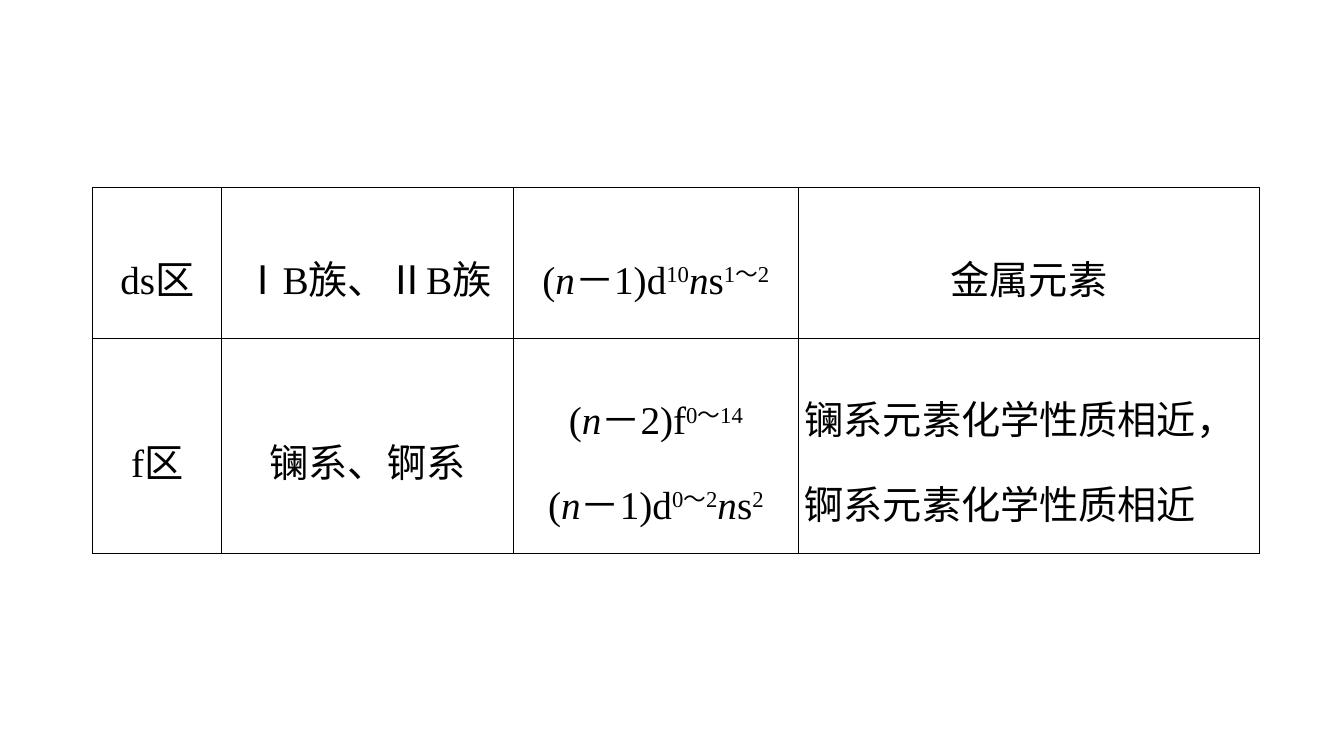
from dataclasses import dataclass

from lxml.etree import SubElement
from pptx import Presentation
from pptx.dml.color import RGBColor
from pptx.enum.text import MSO_ANCHOR as Anchor, PP_ALIGN as Align
from pptx.oxml.ns import qn
from pptx.table import _Cell as Cell
from pptx.util import Inches, Pt

COLORS = {"ink": "000000", "paper": "FFFFFF"}
TEXT_FONT, NUMERAL_FONT = "Times New Roman", "Noto Sans CJK SC"
COLUMN_WIDTHS = (1.28, 2.89, 2.83, 4.57)
ROW_HEIGHTS = (1.5, 2.13)


@dataclass(frozen=True)
class Span:
    text: str
    italic: bool = False
    superscript: bool = False
    font: str = TEXT_FONT


@dataclass(frozen=True)
class Entry:
    lines: tuple[tuple[Span, ...], ...]
    align: Align = Align.CENTER


def plain(text: str, align: Align = Align.CENTER) -> Entry:
    return Entry(((Span(text),),), align)


def sup(text: str) -> Span:
    return Span(text, superscript=True)


def numeral(text: str) -> Span:
    return Span(text, font=NUMERAL_FONT)


N = Span("n", italic=True)
OPEN = Span("(")

ROWS = (
    (
        plain("ds区"),
        Entry(((numeral("Ⅰ"), Span("B族、"), numeral("Ⅱ"), Span("B族")),)),
        Entry(((OPEN, N, Span("－1)d"), sup("10"), N, Span("s"), sup("1～2")),)),
        plain("金属元素"),
    ),
    (
        plain("f区"),
        plain("镧系、锕系"),
        Entry((
            (OPEN, N, Span("－2)f"), sup("0～14")),
            (OPEN, N, Span("－1)d"), sup("0～2"), N, Span("s"), sup("2")),
        )),
        plain("镧系元素化学性质相近，锕系元素化学性质相近", Align.LEFT),
    ),
)


def add_borders(cell: Cell) -> None:
    tcPr = cell._tc.get_or_add_tcPr()
    for i, side in enumerate(("lnL", "lnR", "lnT", "lnB")):
        ln = SubElement(tcPr, qn(f"a:{side}"), w=str(Pt(1)))
        fill = SubElement(ln, qn("a:solidFill"))
        SubElement(fill, qn("a:srgbClr"), val=COLORS["ink"])
        tcPr.insert(i, ln)  # borders come before the fill


def write_entry(cell: Cell, entry: Entry) -> None:
    cell.vertical_anchor = Anchor.MIDDLE
    cell.margin_left = cell.margin_right = Inches(0.06)
    cell.margin_top = cell.margin_bottom = 0
    tf = cell.text_frame
    for i, line in enumerate(entry.lines):
        p = tf.add_paragraph() if i else tf.paragraphs[0]
        p.alignment = entry.align
        p.line_spacing = 1.5
        p.font.size = Pt(28)
        p.font.name = TEXT_FONT
        p.font.color.rgb = RGBColor.from_string(COLORS["ink"])
        for span in line:
            r = p.add_run()
            r.text = span.text
            if span.italic:
                r.font.italic = True
            if span.font != TEXT_FONT:
                r.font.name = span.font
            if span.superscript:
                r._r.get_or_add_rPr().set("baseline", "30000")


def main() -> None:
    prs = Presentation()
    prs.slide_width, prs.slide_height = Inches(13.33), Inches(7.5)
    s = prs.slides.add_slide(prs.slide_layouts[6])
    table = s.shapes.add_table(
        len(ROWS), len(COLUMN_WIDTHS), Inches(0.92), Inches(1.86),
        Inches(sum(COLUMN_WIDTHS)), Inches(sum(ROW_HEIGHTS)),
    ).table
    table.first_row = table.horz_banding = False
    for column, width in zip(table.columns, COLUMN_WIDTHS):
        column.width = Inches(width)
    for row, height, entries in zip(table.rows, ROW_HEIGHTS, ROWS):
        row.height = Inches(height)
        for cell, entry in zip(row.cells, entries):
            cell.fill.solid()
            cell.fill.fore_color.rgb = RGBColor.from_string(COLORS["paper"])
            add_borders(cell)
            write_entry(cell, entry)
    prs.save("out.pptx")


if __name__ == "__main__":
    main()
